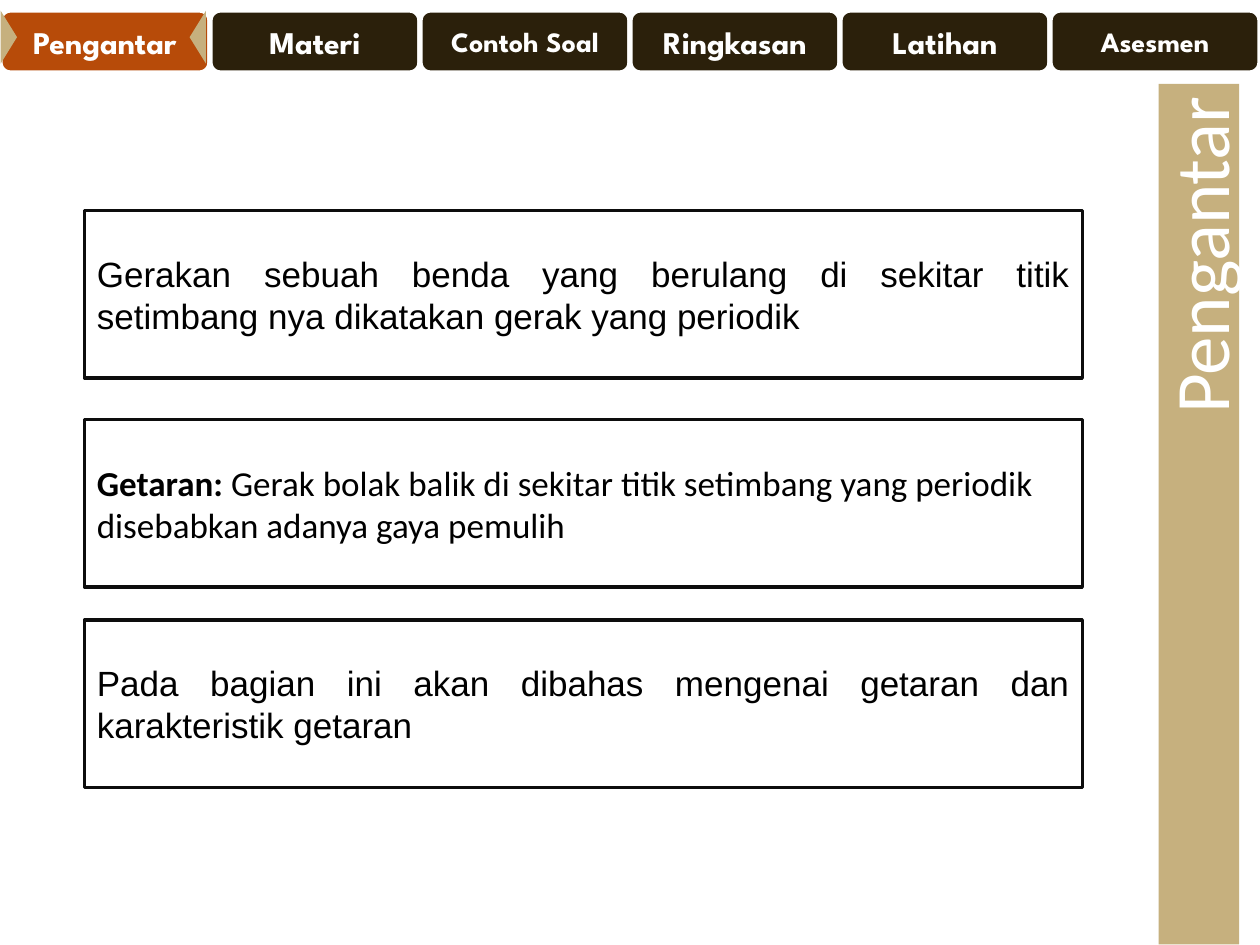
from dataclasses import dataclass

from pptx import Presentation
from pptx import util as u
from pptx.dml import color
from pptx.enum import shapes, text

WHITE = "FFFFFF"
DARK = "2B200B"
ORANGE = "B74B09"
SAND = "C6B07E"
INK = "0D0D0D"
BLACK = "000000"
TAB_WIDTH = 10 / 6


@dataclass
class Tab:
    label: str
    size: int = 18
    fill: str = DARK


@dataclass
class Statement:
    top: float
    body: str
    term: str = ""
    font: str = "Arial"
    align: text.PP_ALIGN = text.PP_ALIGN.JUSTIFY


TABS = [
    Tab("Pengantar", fill=ORANGE),
    Tab("Materi"),
    Tab("Contoh Soal", 16),
    Tab("Ringkasan"),
    Tab("Latihan"),
    Tab("Asesmen", 16),
]

STATEMENTS = [
    Statement(1.67, "Gerakan sebuah benda yang berulang di sekitar titik "
              "setimbang nya dikatakan gerak yang periodik"),
    Statement(3.33, "Gerak bolak balik di sekitar titik setimbang yang periodik "
              "disebabkan adanya gaya pemulih",
              "Getaran: ", "Calibri", text.PP_ALIGN.LEFT),
    Statement(4.92, "Pada bagian ini akan dibahas mengenai getaran dan "
              "karakteristik getaran"),
]


def rgb(value: str) -> color.RGBColor:
    return color.RGBColor.from_string(value)


def add_box(slide, kind, left: float, top: float, width: float, height: float,
            fill: str = "", line: str = "", weight: float = 1):
    shape = slide.shapes.add_shape(kind, u.Inches(left), u.Inches(top),
                                   u.Inches(width), u.Inches(height))
    shape.shadow.inherit = False
    if fill:
        shape.fill.solid()
        shape.fill.fore_color.rgb = rgb(fill)
    else:
        shape.fill.background()
    if line:
        shape.line.color.rgb = rgb(line)
        shape.line.width = u.Pt(weight)
    else:
        shape.line.fill.background()
    shape.text_frame.vertical_anchor = text.MSO_ANCHOR.MIDDLE
    return shape


def format_run(run, font: str, size: int, ink: str, bold: bool = False) -> None:
    run.font.name = font
    run.font.size = u.Pt(size)
    run.font.color.rgb = rgb(ink)
    run.font.bold = bold


def draw_tab(slide, index: int, tab: Tab) -> None:
    shape = add_box(slide, shapes.MSO_SHAPE.ROUNDED_RECTANGLE,
                    index * TAB_WIDTH, 0.08, TAB_WIDTH, 0.5, tab.fill, WHITE, 3)
    shape.text_frame.text = tab.label
    paragraph = shape.text_frame.paragraphs[0]
    paragraph.alignment = text.PP_ALIGN.CENTER
    format_run(paragraph.runs[0], "League Spartan", tab.size, WHITE, True)


def draw_notch(slide, left: float, rotation: float) -> None:
    shape = add_box(slide, shapes.MSO_SHAPE.ISOSCELES_TRIANGLE,
                    left, 0.23, 0.42, 0.13, SAND)
    shape.rotation = rotation


def draw_statement(slide, statement: Statement) -> None:
    shape = add_box(slide, shapes.MSO_SHAPE.RECTANGLE,
                    0.67, statement.top, 7.92, 1.33, line=INK, weight=2)
    paragraph = shape.text_frame.paragraphs[0]
    paragraph.alignment = statement.align
    for words, bold in ((statement.term, True), (statement.body, False)):
        if words:
            run = paragraph.add_run()
            run.text = words
            format_run(run, statement.font, 20, BLACK, bold)


def format_title(title) -> None:
    title.left, title.top = u.Inches(6.1), u.Inches(3.76)
    title.width, title.height = u.Inches(6.83), u.Inches(0.64)
    title.rotation = 270
    title.fill.solid()
    title.fill.fore_color.rgb = rgb(SAND)
    title.text_frame.text = "Pengantar"
    title.text_frame.auto_size = text.MSO_AUTO_SIZE.NONE
    title.text_frame.vertical_anchor = text.MSO_ANCHOR.MIDDLE
    paragraph = title.text_frame.paragraphs[0]
    paragraph.alignment = text.PP_ALIGN.RIGHT
    format_run(paragraph.runs[0], "Calibri", 44, WHITE)


def main() -> None:
    presentation = Presentation()
    presentation.slide_width = u.Inches(10)
    presentation.slide_height = u.Inches(7.5)
    slide = presentation.slides.add_slide(presentation.slide_layouts[5])
    slide.background.fill.solid()
    slide.background.fill.fore_color.rgb = rgb(WHITE)

    format_title(slide.shapes.title)
    for index, tab in enumerate(TABS):
        draw_tab(slide, index, tab)
    draw_notch(slide, 1.36, 270)
    draw_notch(slide, -0.14, 90)
    add_box(slide, shapes.MSO_SHAPE.ROUND_2_DIAG_RECTANGLE,
            0.17, 1.08, 8.83, 6, WHITE)
    for statement in STATEMENTS:
        draw_statement(slide, statement)

    presentation.save("out.pptx")


if __name__ == "__main__":
    main()
